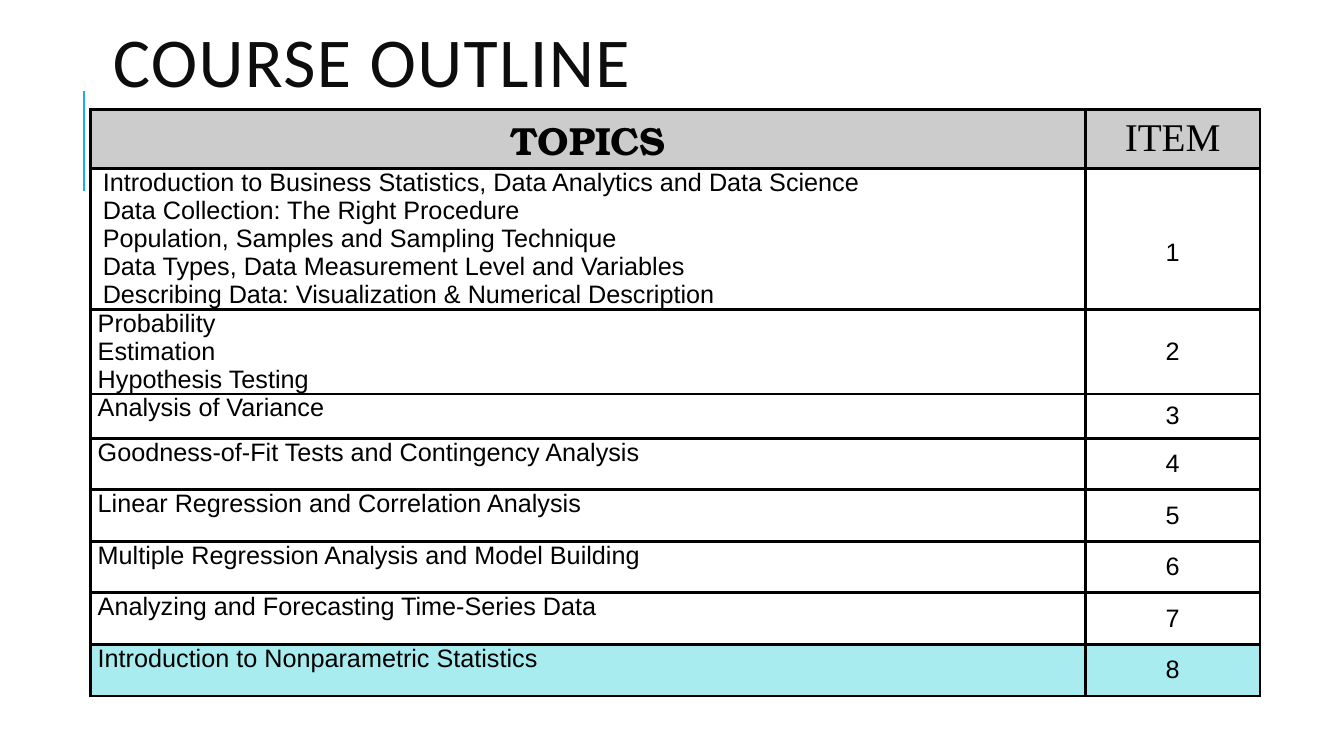
from pptx import Presentation
from pptx.dml.color import RGBColor
from pptx.enum.shapes import MSO_CONNECTOR
from pptx.enum.text import MSO_ANCHOR, PP_ALIGN
from pptx.oxml import parse_xml
from pptx.oxml.ns import nsdecls
from pptx.util import Inches, Pt

COLORS = {
    "title": "0D0D0D",
    "accent": "1CADE4",
    "text": "000000",
    "border": "000000",
    "header": "CCCCCC",
    "highlight": "A8ECEF",
}

FONTS = {
    "title": {"name": "Calibri", "size": Pt(50), "bold": False},
    "topics": {"name": "TeX Gyre Bonum", "size": Pt(28), "bold": True},
    "item": {"name": "Times New Roman", "size": Pt(28), "bold": False},
    "body": {"name": "Arial", "size": Pt(18), "bold": False},
}

OUTLINE = [
    [
        "Introduction to Business Statistics, Data Analytics and Data Science",
        "Data Collection: The Right Procedure",
        "Population, Samples and Sampling Technique",
        "Data Types, Data Measurement Level and Variables",
        "Describing Data: Visualization & Numerical Description",
    ],
    ["Probability", "Estimation", "Hypothesis Testing"],
    ["Analysis of Variance"],
    ["Goodness-of-Fit Tests and Contingency Analysis"],
    ["Linear Regression and Correlation Analysis"],
    ["Multiple Regression Analysis and Model Building"],
    ["Analyzing and Forecasting Time-Series Data"],
    ["Introduction to Nonparametric Statistics"],
]

COLUMN_SHARES = [0.74, 0.13]
ROW_SHARES = [0.08, 0.19, 0.11, 0.06] + [0.07] * 5
TABLE_HEIGHT = 0.77


def apply(target, values):
    for name, value in values.items():
        setattr(target, name, value)


class OutlineSlide:
    def __init__(self, presentation):
        self.width = presentation.slide_width
        self.height = presentation.slide_height
        self.slide = presentation.slides.add_slide(presentation.slide_layouts[5])

    def across(self, share):
        return round(self.width * share)

    def down(self, share):
        return round(self.height * share)

    def fill_text(self, text_frame, lines, font, color, **paragraph_format):
        for index, line in enumerate(lines):
            paragraph = text_frame.paragraphs[0] if index == 0 else text_frame.add_paragraph()
            apply(paragraph, paragraph_format)
            run = paragraph.add_run()
            run.text = line
            apply(run.font, FONTS[font])
            run.font.color.rgb = RGBColor.from_string(COLORS[color])

    def title(self, text, left, top, width, height):
        shape = self.slide.shapes.title
        apply(shape, {
            "left": self.across(left), "top": self.down(top),
            "width": self.across(width), "height": self.down(height),
        })
        apply(shape.text_frame, {"vertical_anchor": MSO_ANCHOR.MIDDLE, "word_wrap": True})
        self.fill_text(shape.text_frame, [text], "title", "title",
                       alignment=PP_ALIGN.LEFT, line_spacing=0.8)
        run = shape.text_frame.paragraphs[0].runs[0]
        run.font._element.set("spc", "100")

    def vertical_line(self, left, top, bottom):
        line = self.slide.shapes.add_connector(
            MSO_CONNECTOR.STRAIGHT, self.across(left), self.down(bottom),
            self.across(left), self.down(top))
        line.line.color.rgb = RGBColor.from_string(COLORS["accent"])
        line.line.width = Pt(1.5)
        line._element.spPr.append(parse_xml(f"<a:effectLst {nsdecls('a')}/>"))

    def table(self, left, top, column_shares, row_shares, height):
        frame = self.slide.shapes.add_table(
            len(row_shares), len(column_shares), self.across(left), self.down(top),
            self.across(sum(column_shares)), self.down(height))
        table = frame.table
        apply(table, {"first_row": False, "horz_banding": False})
        for column, share in zip(table.columns, column_shares):
            column.width = self.across(share)
        for row, share in zip(table.rows, row_shares):
            row.height = self.down(share * height / sum(row_shares))
        return table

    def cell(self, cell, lines, font="body", fill=None, centered=True, inset=0.07, top=0):
        apply(cell, {
            "margin_left": Inches(inset), "margin_right": Inches(inset),
            "margin_top": Inches(top), "margin_bottom": 0,
            "vertical_anchor": MSO_ANCHOR.MIDDLE if centered else MSO_ANCHOR.TOP,
        })
        self.fill_text(cell.text_frame, lines, font, "text",
                       alignment=PP_ALIGN.CENTER if centered else PP_ALIGN.LEFT)
        if fill:
            cell.fill.solid()
            cell.fill.fore_color.rgb = RGBColor.from_string(COLORS[fill])
        else:
            cell.fill.background()
        properties = cell._tc.get_or_add_tcPr()
        for position, side in enumerate(("lnL", "lnR", "lnT", "lnB")):
            properties.insert(position, parse_xml(
                f"<a:{side} {nsdecls('a')} w=\"{Pt(2.25)}\"><a:solidFill>"
                f"<a:srgbClr val=\"{COLORS['border']}\"/></a:solidFill></a:{side}>"))


def main():
    presentation = Presentation()
    apply(presentation, {"slide_width": Inches(13.33), "slide_height": Inches(7.5)})
    outline = OutlineSlide(presentation)
    outline.vertical_line(0.0625, 0.12, 0.253)
    outline.title("COURSE OUTLINE", 0.0765, 0.035, 0.7975, 0.108)
    table = outline.table(0.0675, 0.1445, COLUMN_SHARES, ROW_SHARES, TABLE_HEIGHT)
    outline.cell(table.cell(0, 0), ["TOPICS"], font="topics", fill="header")
    outline.cell(table.cell(0, 1), ["ITEM"], font="item", fill="header")
    for number, topics in enumerate(OUTLINE, start=1):
        first = number == 1
        fill = "highlight" if number == len(OUTLINE) else None
        inset = 0.12 if first else 0.07
        outline.cell(table.cell(number, 0), topics, fill=fill, centered=False, inset=inset)
        outline.cell(table.cell(number, 1), [str(number)], fill=fill, inset=inset,
                     top=0.28 if first else 0)
    presentation.save("out.pptx")


if __name__ == "__main__":
    main()
